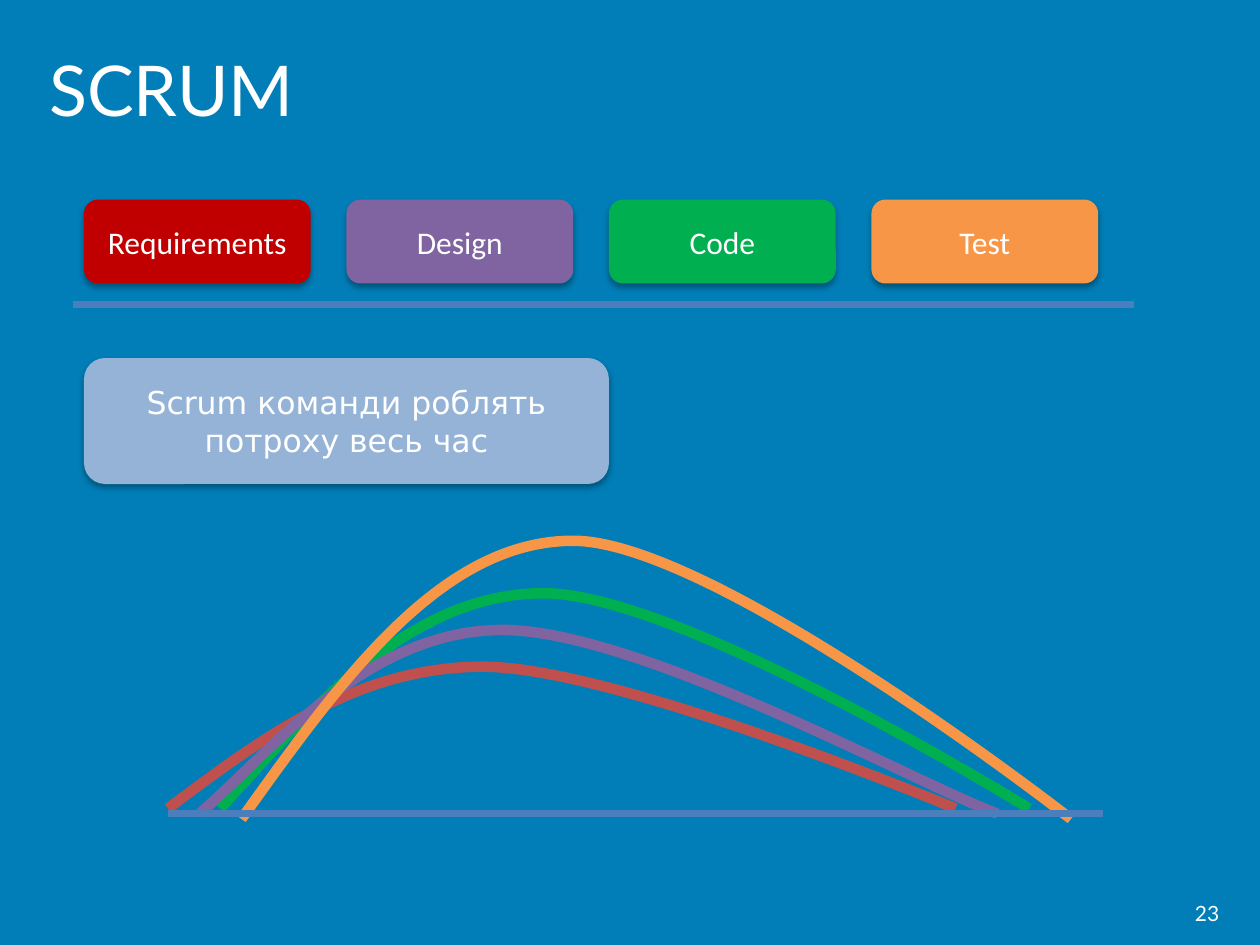
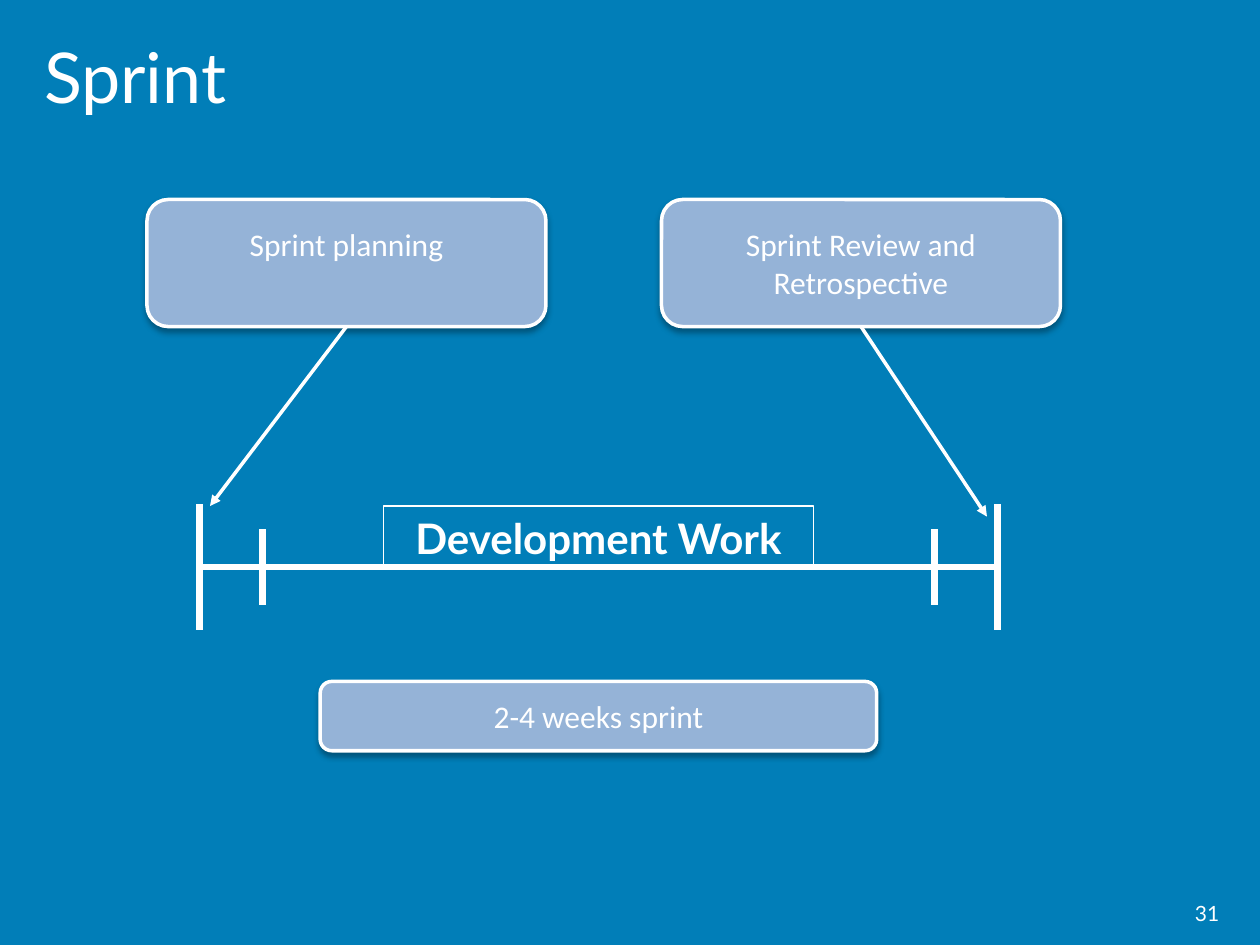
from lxml import etree
from pptx import Presentation
from pptx.dml.color import RGBColor
from pptx.enum.shapes import MSO_CONNECTOR, MSO_SHAPE
from pptx.enum.text import MSO_ANCHOR, PP_ALIGN
from pptx.oxml.ns import qn
from pptx.util import Inches, Pt

STRAIGHT = MSO_CONNECTOR.STRAIGHT
ROUNDED = MSO_SHAPE.ROUNDED_RECTANGLE
ALTERNATE = MSO_SHAPE.FLOWCHART_ALTERNATE_PROCESS
RECTANGLE = MSO_SHAPE.RECTANGLE
MIDDLE, TOP = MSO_ANCHOR.MIDDLE, MSO_ANCHOR.TOP
LEFT, CENTER, RIGHT = PP_ALIGN.LEFT, PP_ALIGN.CENTER, PP_ALIGN.RIGHT
BOTTOM_SIDE = 2

BLUE, WHITE, PALE, RULE = "017EB8", "FFFFFF", "95B3D7", "4B7EBC"
RED, BRICK, PURPLE, GREEN, ORANGE = "C00000", "C0504D", "8064A2", "00B050", "F79646"
HEAD_FONT, BODY_FONT, CYRILLIC_FONT = "Lato", "Calibri", "DejaVu Sans"

# Control points of a work curve, as shares of its box: rise, peak, fall
WORK_CURVE = [(0, 1), (.12, .5), (.24, 0), (.4, 0), (.57, 0), (1, 1), (1, 1)]
LATE_CURVE = [(0, 1), (.09, .66), (.21, 0), (.38, 0), (.55, 0), (.9, .84), (1, 1)]


def grid(*cells):
    """Lengths on the slide's grid of 120 columns by 90 rows."""
    return [Inches(cell / 12) for cell in cells]


def rgb(color):
    return RGBColor.from_string(color)


def write(shape, text, size, font=BODY_FONT, align=CENTER, anchor=MIDDLE, bold=False):
    frame = shape.text_frame
    frame.text = text
    frame.word_wrap = True
    frame.vertical_anchor = anchor
    paragraph = frame.paragraphs[0]
    paragraph.alignment = align
    style = paragraph.runs[0].font
    style.size, style.name, style.bold = Pt(size), font, bold
    style.color.rgb = rgb(WHITE)


def outline(shape, color, width):
    shape.line.color.rgb = rgb(color)
    shape.line.width = Pt(width)


def add_shadow(shape):
    shape.shadow.inherit = False
    effects = shape.element.spPr.find(qn("a:effectLst"))
    shadow = etree.SubElement(effects, qn("a:outerShdw"), blurRad=str(Pt(3.5)),
                              dist=str(Pt(2.2)), dir="5400000", rotWithShape="0")
    black = etree.SubElement(shadow, qn("a:srgbClr"), val="000000")
    etree.SubElement(black, qn("a:alpha"), val="32000")


def add_card(slide, box, text, fill, border=None, kind=ROUNDED, font=BODY_FONT):
    card = slide.shapes.add_shape(kind, *grid(*box))
    card.fill.solid()
    card.fill.fore_color.rgb = rgb(fill)
    if border:
        outline(card, border, 2)
    else:
        card.line.fill.background()
    add_shadow(card)
    write(card, text, 18, font)
    return card


def add_line(shapes, start, end, color, width):
    line = shapes.add_connector(STRAIGHT, *grid(*start, *end))
    outline(line, color, width)
    etree.SubElement(line.element.spPr, qn("a:effectLst"))
    return line


def add_arrow(slide, card, end):
    arrow = add_line(slide.shapes, end, end, WHITE, 2)
    arrow.begin_connect(card, BOTTOM_SIDE)
    etree.SubElement(arrow.line._get_or_add_ln(), qn("a:tailEnd"), type="triangle")


def add_curve(slide, box, color, shares):
    """Draw two Bezier arcs through control points given as shares of the box."""
    left, top, width, height = box
    start, *rest = [grid(left + x * width, top + y * height) for x, y in shares]
    builder = slide.shapes.build_freeform(*start)
    builder.add_line_segments(rest, close=False)
    curve = builder.convert_to_shape()
    segments = curve.element.xpath(".//a:lnTo")
    for first in range(0, len(segments), 3):
        arc = segments[first]
        arc.tag = qn("a:cubicBezTo")
        for segment in segments[first + 1:first + 3]:
            arc.append(segment[0])
            segment.getparent().remove(segment)
    curve.fill.background()
    outline(curve, color, 6)
    curve.shadow.inherit = False


def add_page(prs, title, title_box, number):
    slide = prs.slides.add_slide(prs.slide_layouts[5])
    heading = slide.shapes.title
    heading.left, heading.top, heading.width, heading.height = grid(*title_box)
    write(heading, title, 40, HEAD_FONT, LEFT)
    page_number = slide.shapes.add_textbox(*grid(89.3, 84.6, 28, 4.7))
    write(page_number, number, 12, HEAD_FONT, RIGHT)
    return slide


def add_phases(slide, box):
    left, top, pitch, height = box
    phases = [("Requirements", RED), ("Design", PURPLE), ("Code", GREEN), ("Test", ORANGE)]
    add_line(slide.shapes, (left - 1, top + 10), (left + 100, top + 10), RULE, 4)
    for index, (phase, color) in enumerate(phases):
        add_card(slide, (left + index * pitch, top, 21.6, height), phase, color)


def add_workload(slide, box):
    left, top, width, height = box
    base = top + height
    curves = [(5, 20.5, 77, -.5, GREEN, WORK_CURVE), (0, 13.5, 75, -.5, BRICK, WORK_CURVE),
              (3, 17.5, 76, 0, PURPLE, LATE_CURVE), (7, 26.5, 79, .5, ORANGE, WORK_CURVE)]
    for offset, rise, span, drop, color, shares in curves:
        add_curve(slide, (left + offset, base + drop - rise, span, rise), color, shares)
    add_line(slide.shapes, (left, base), (left + width, base), RULE, 4)


def add_timeline(slide, box):
    left, top, width, height = box
    right, middle = left + width, top + height / 2
    timeline = slide.shapes.add_group_shape().shapes
    add_line(timeline, (left, middle), (right, middle), WHITE, 4)
    for inset, reach in ((0, height / 2), (6, .3 * height)):
        for x in (left + inset, right - inset):
            add_line(timeline, (x, middle - reach), (x, middle + reach), WHITE, 4)
    work = slide.shapes.add_shape(RECTANGLE, *grid(left + 17.5, top + .2, 41, 6))
    work.fill.background()
    outline(work, WHITE, .75)
    work.shadow.inherit = False
    write(work, "Development Work", 24, HEAD_FONT, anchor=TOP, bold=True)


def add_meetings(slide, box):
    left, top, pitch, height = box
    planning, review = [
        add_card(slide, (left + index * pitch, top, 38, height), text, PALE, WHITE)
        for index, text in enumerate(("Sprint planning", "Sprint Review and Retrospective"))]
    planning.text_frame.margin_bottom = Inches(.35)
    add_arrow(slide, planning, (left + 6, top + 29.2))
    add_arrow(slide, review, (left + 80, top + 30.2))


def build_scrum(prs):
    slide = add_page(prs, "SCRUM", (3.5, 2.4, 108, 12), "23")
    add_workload(slide, (16, 51, 89, 26.5))
    add_phases(slide, (8, 19, 25, 8))
    add_card(slide, (8, 34.1, 50, 12), "Scrum команди роблять потроху весь час",
             PALE, kind=ALTERNATE, font=CYRILLIC_FONT)


def build_sprint(prs):
    slide = add_page(prs, "Sprint", (3, 1.2, 108, 12), "31")
    add_timeline(slide, (19, 48, 76, 12))
    add_meetings(slide, (14, 19, 49, 12.1))
    add_card(slide, (30.5, 64.9, 53, 6.6), "2-4 weeks sprint", PALE, WHITE)


def main():
    prs = Presentation()
    prs.slide_width, prs.slide_height = grid(120, 90)
    background = prs.slide_master.background.fill
    background.solid()
    background.fore_color.rgb = rgb(BLUE)
    build_scrum(prs)
    build_sprint(prs)
    prs.save("out.pptx")


if __name__ == "__main__":
    main()
